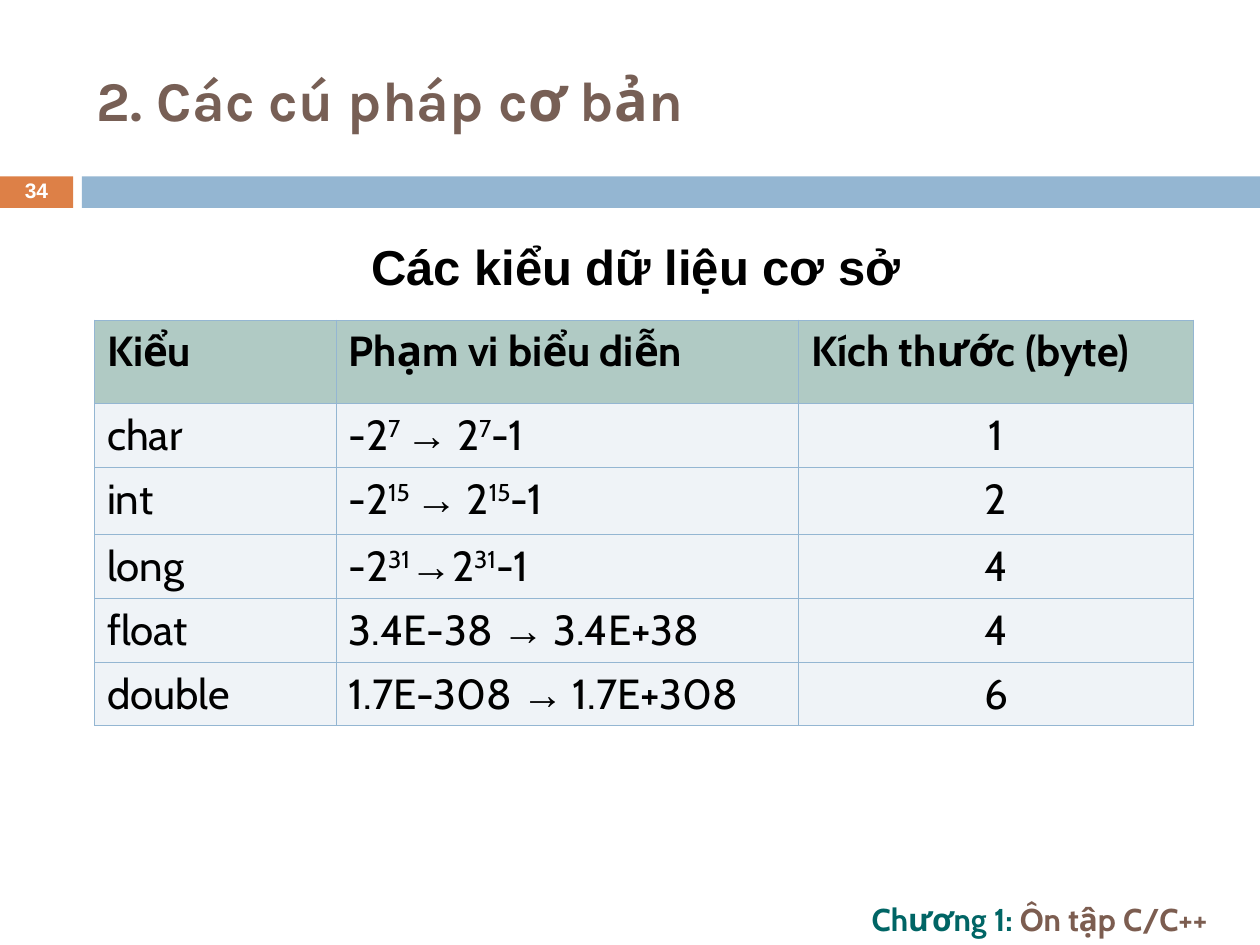
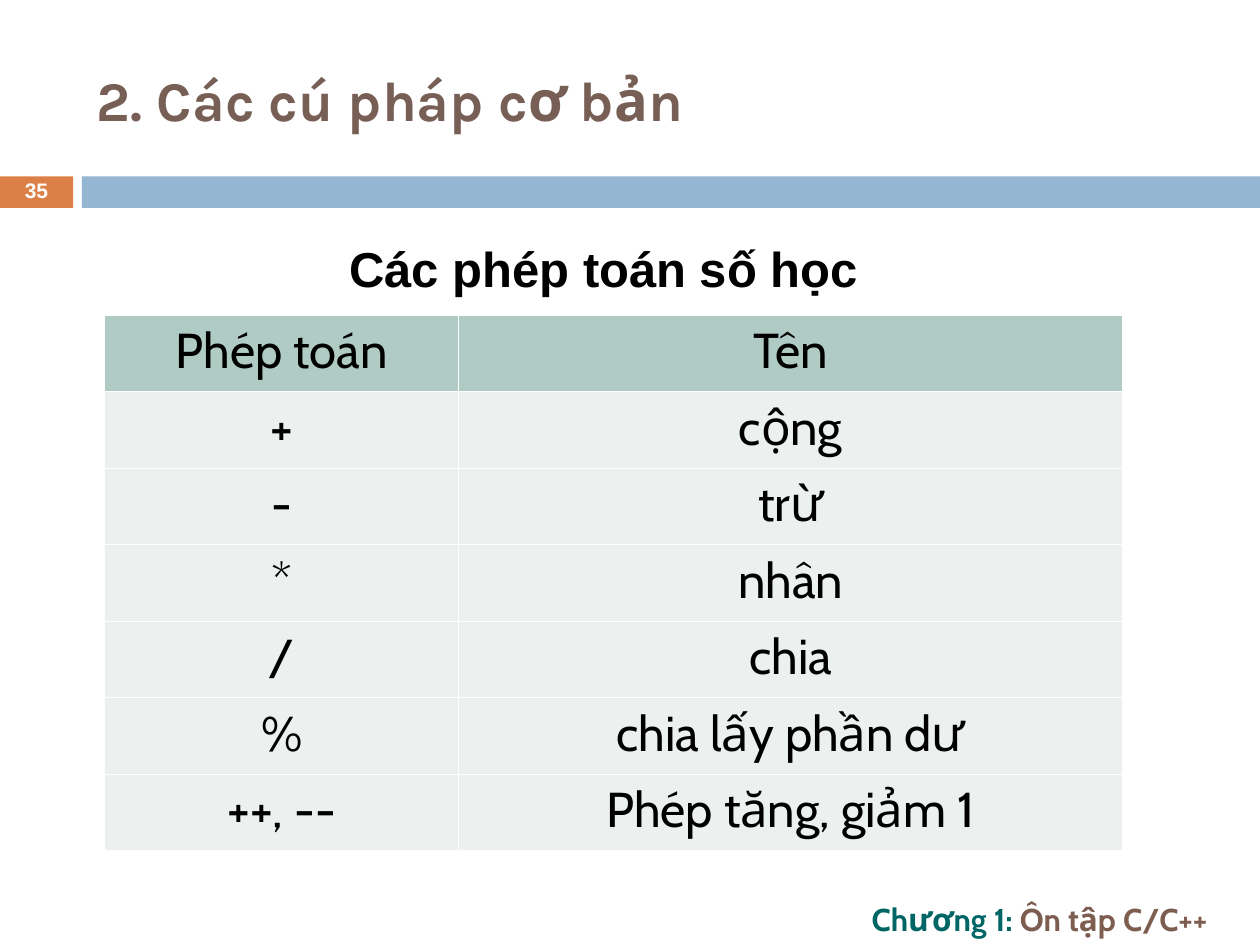
import dataclasses
import itertools

import lxml.etree
import pptx
import pptx.dml.color
import pptx.enum.shapes
import pptx.enum.text
import pptx.oxml.ns
import pptx.util

Inches = pptx.util.Inches
Pt = pptx.util.Pt
ALIGN = pptx.enum.text.PP_ALIGN
ANCHOR = pptx.enum.text.MSO_ANCHOR


@dataclasses.dataclass(frozen=True)
class Theme:
    """Colours, fonts and type sizes of the presentation."""
    orange: str = "DD8047"
    blue: str = "94B6D2"
    brown: str = "775F55"
    footer_brown: str = "7C5D50"
    teal: str = "006565"
    header_fill: str = "B0CAC4"
    blue_tint: str = "EFF3F7"
    green_tint: str = "ECF1F0"
    black: str = "000000"
    white: str = "FFFFFF"
    title_font: str = "Karla"
    body_font: str = "Cabin"
    plain_font: str = "Arial"
    title_size: int = 32
    heading_size: int = 28
    types_size: int = 24
    operators_size: int = 28
    footer_size: int = 18
    number_size: int = 12
    border_width: float = 0.45


THEME = Theme()
TITLE = "2. Các cú pháp cơ bản"
TYPES = [
    ("Kiểu", "Phạm vi biểu diễn", "Kích thước (byte)"),
    ("char", "-2^7 ^→ 2^7^-1", "1"),
    ("int", "-2^15 ^→ 2^15^-1", "2"),
    ("long", "-2^31^→2^31^-1", "4"),
    ("float", "3.4E-38 → 3.4E+38", "4"),
    ("double", "1.7E-308 → 1.7E+308", "6"),
]
OPERATORS = [
    ("Phép toán", "Tên"),
    ("+", "cộng"),
    ("-", "trừ"),
    ("*", "nhân"),
    ("/", "chia"),
    ("%", "chia lấy phần dư"),
    ("++, --", "Phép tăng, giảm 1"),
]


def rgb(color):
    """Turn a hex string into a colour."""
    return pptx.dml.color.RGBColor.from_string(color)


def set_font(font, name, size, color, bold=False):
    """Set the face, size, colour and weight of a font."""
    font.name = name
    font.size = Pt(size)
    font.bold = bold
    font.color.rgb = rgb(color)


def add_text(s, box, text, name, size, color, align=ALIGN.LEFT, anchor=ANCHOR.MIDDLE):
    """Add a bold one-paragraph text box and return its paragraph."""
    tf = s.shapes.add_textbox(*map(Inches, box)).text_frame
    tf.word_wrap = True
    tf.vertical_anchor = anchor
    p = tf.paragraphs[0]
    p.alignment = align
    set_font(p.font, name, size, color, bold=True)
    p.add_run().text = text
    return p


def add_band(s, box, color):
    """Add a plain filled rectangle."""
    sp = s.shapes.add_shape(pptx.enum.shapes.MSO_SHAPE.RECTANGLE, *map(Inches, box))
    sp.shadow.inherit = False
    sp.fill.solid()
    sp.fill.fore_color.rgb = rgb(color)
    sp.line.fill.background()


def add_frame(s, number):
    """Add the bands, slide number, title and chapter footer."""
    add_band(s, (0, 1.4, 0.58, 0.25), THEME.orange)
    add_band(s, (0.65, 1.4, 9.35, 0.25), THEME.blue)
    p = add_text(s, (0, 1.39, 0.58, 0.27), str(number), THEME.plain_font,
                 THEME.number_size, THEME.white, ALIGN.CENTER)
    p.line_spacing = 0.8
    add_text(s, (0.67, 0.25, 8.92, 1.08), TITLE, THEME.title_font,
             THEME.title_size, THEME.brown)
    p = add_text(s, (6.82, 7.08, 3.18, 0.42), "Chương 1: ", THEME.body_font,
                 THEME.footer_size, THEME.teal)
    r = p.add_run()
    r.text = "Ôn tập C/C++"
    r.font.color.rgb = rgb(THEME.footer_brown)


def add_heading(s, box, text):
    """Add the centred heading above a table."""
    add_text(s, box, text, THEME.plain_font, THEME.heading_size, THEME.black,
             ALIGN.CENTER, ANCHOR.TOP)


def set_borders(cell, color):
    """Draw a thin line on all four sides of a cell."""
    tc_pr = cell._tc.get_or_add_tcPr()
    qn = pptx.oxml.ns.qn
    for side in ("a:lnL", "a:lnR", "a:lnT", "a:lnB"):
        ln = lxml.etree.SubElement(tc_pr, qn(side), w=str(Pt(THEME.border_width)))
        fill = lxml.etree.SubElement(ln, qn("a:solidFill"))
        lxml.etree.SubElement(fill, qn("a:srgbClr"), val=color)


def add_math_runs(p, text):
    """Write text whose powers stand between carets and whose arrows use the plain font."""
    for i, part in enumerate(text.split("^")):
        for is_arrow, chars in itertools.groupby(part, lambda c: c == "→"):
            r = p.add_run()
            r.text = "".join(chars)
            if is_arrow:
                r.font.name = THEME.plain_font
            if i % 2:
                r.font._element.set("baseline", "30000")


def add_table(s, left, top, widths, heights, rows, size, space, tint, border,
              centered, bold_header=False):
    """Add a table with a coloured header row and one tint below it."""
    box = (left, top, sum(widths), sum(heights))
    table = s.shapes.add_table(len(rows), len(widths), *map(Inches, box)).table
    table.first_row = table.horz_banding = False
    for column, width in zip(table.columns, widths):
        column.width = Inches(width)
    for i, (row, height) in enumerate(zip(rows, heights)):
        table.rows[i].height = Inches(height)
        for j, text in enumerate(row):
            cell = table.cell(i, j)
            set_borders(cell, border)
            cell.fill.solid()
            cell.fill.fore_color.rgb = rgb(tint if i else THEME.header_fill)
            p = cell.text_frame.paragraphs[0]
            p.alignment = ALIGN.CENTER if centered(i, j) else ALIGN.LEFT
            p.space_before = Pt(space)
            set_font(p.font, THEME.body_font, size, THEME.black, bold_header and i == 0)
            add_math_runs(p, text)


def build_types(s):
    """Build the slide on basic data types."""
    add_frame(s, 34)
    add_table(s, 0.75, 2.54, (1.92, 3.67, 3.13), (0.66, 0.51, 0.53, 0.51, 0.51, 0.5),
              TYPES, THEME.types_size, 6, THEME.blue_tint, THEME.blue,
              lambda i, j: i > 0 and j == 2, bold_header=True)
    add_heading(s, (0.67, 1.83, 8.75, 0.57), "Các kiểu dữ liệu cơ sở")


def build_operators(s):
    """Build the slide on arithmetic operators."""
    add_frame(s, 35)
    heights = [4.25 / len(OPERATORS)] * len(OPERATORS)
    add_table(s, 0.83, 2.5, (2.81, 5.27), heights, OPERATORS, THEME.operators_size, 7,
              THEME.green_tint, THEME.white, lambda i, j: True)
    add_heading(s, (0.75, 1.84, 8.08, 0.57), "Các phép toán số học")


def main():
    """Build and save the presentation."""
    prs = pptx.Presentation()
    prs.slide_width = Inches(10)
    prs.slide_height = Inches(7.5)
    for build in (build_types, build_operators):
        build(prs.slides.add_slide(prs.slide_layouts[6]))
    prs.save("out.pptx")


if __name__ == "__main__":
    main()
